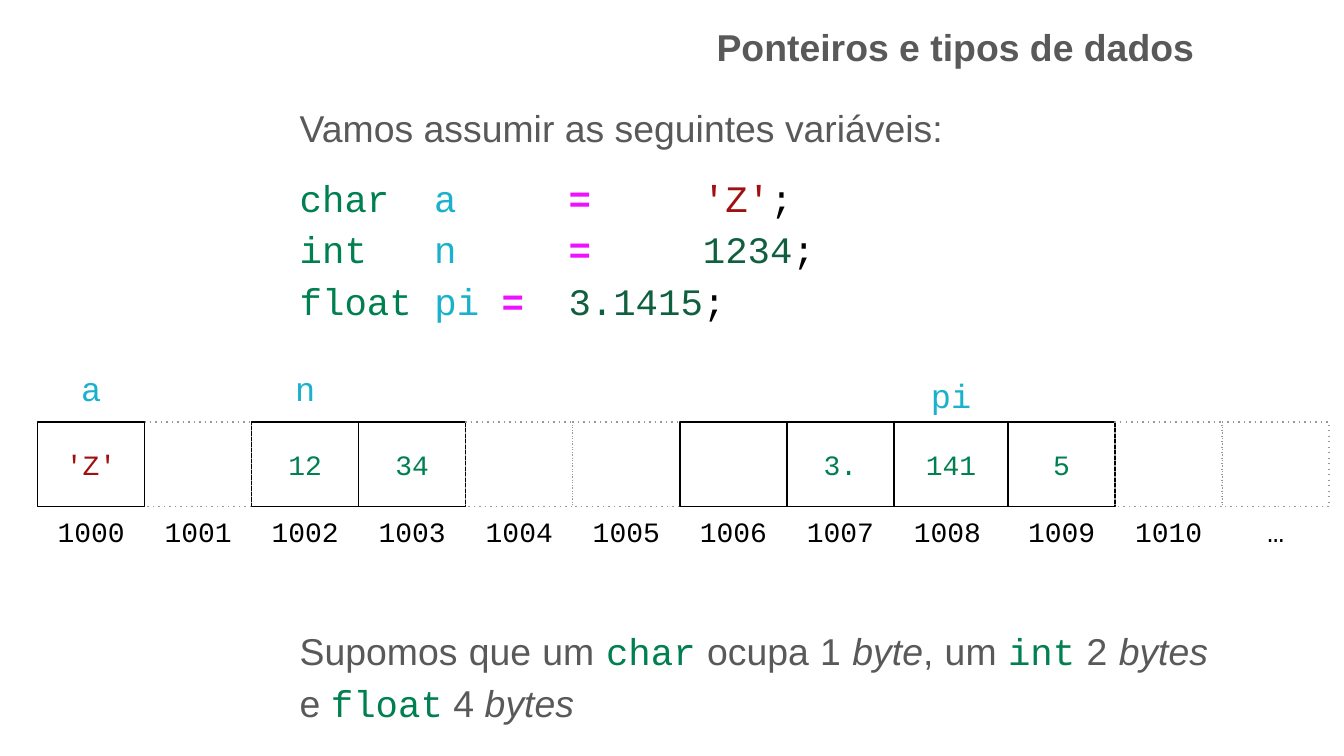
from collections import namedtuple

from lxml.etree import SubElement
from pptx import Presentation
from pptx.dml.color import RGBColor
from pptx.enum.dml import MSO_LINE_DASH_STYLE as Dash
from pptx.enum.shapes import MSO_SHAPE as Shape
from pptx.enum.text import MSO_ANCHOR as Anchor, MSO_AUTO_SIZE as AutoSize, PP_ALIGN as Align
from pptx.oxml.ns import qn
from pptx.util import Inches, Pt

Box = namedtuple("Box", "left top width height")
Style = namedtuple("Style", "font color bold italic", defaults=(False, False))

SLIDE_WIDTH = 10
SLIDE_HEIGHT = SLIDE_WIDTH * 9 / 16

SANS, MONO = "Arial", "Courier New"
TEXT = Style(SANS, "595959")
HEADING = Style(SANS, "595959", bold=True)
EMPHASIS = Style(SANS, "595959", italic=True)
TYPE = Style(MONO, "008050")
VARIABLE = Style(MONO, "1AB1CD")
OPERATOR = Style(MONO, "EE11FF", bold=True)
CHARACTER = Style(MONO, "A01010")
NUMBER = Style(MONO, "106040")
PLAIN = Style(MONO, "000000")

INTRO = [("Vamos assumir as seguintes variáveis:", TEXT)]
DECLARATIONS = [
    ("char \t", "a \t", "'Z'", CHARACTER),
    ("int \t", "n \t", "1234", NUMBER),
    ("float ", "pi ", "3.1415", NUMBER),
]
CLOSING = [
    ("Supomos que um ", TEXT), ("char", TYPE), (" ocupa 1 ", TEXT), ("byte", EMPHASIS),
    (", um ", TEXT), ("int", TYPE), (" 2 ", TEXT), ("bytes", EMPHASIS),
    (" e ", TEXT), ("float", TYPE), (" 4 ", TEXT), ("bytes", EMPHASIS),
]

ADDRESSES = [str(address) for address in range(1000, 1011)] + ["…"]
VALUES = {0: "'Z'", 2: "12", 3: "34", 6: "", 7: "3.", 8: "141", 9: "5"}
LABELS = {0: ("a", 0), 2: ("n", 0), 8: ("pi", 0.05)}
DRAWING_ORDER = (*range(3, 11), 2, 1, 0, 11)
WIDE_COLUMN, WIDE_WIDTH = 8, 0.85
LABEL_HEIGHT, CELL_HEIGHT, ADDRESS_HEIGHT = 0.5, 0.63, 0.37


def color(hex_string):
    return RGBColor.from_string(hex_string)


def inches(box):
    return [Inches(length) for length in box]


def place(shape, box):
    shape.left, shape.top, shape.width, shape.height = inches(box)


def prepare_frame(shape, anchor):
    frame = shape.text_frame
    frame.word_wrap = True
    frame.auto_size = AutoSize.NONE
    frame.vertical_anchor = anchor
    frame.margin_left = frame.margin_right = Inches(0.1)
    frame.margin_top = frame.margin_bottom = Inches(0.1)
    return frame


def add_runs(paragraph, runs, size):
    for text, style in runs:
        run = paragraph.add_run()
        run.text = text
        font = run.font
        font.name, font.size = style.font, Pt(size)
        font.bold, font.italic = style.bold, style.italic
        font.color.rgb = color(style.color)


def write_centered(shape, text, style, size, anchor):
    paragraph = prepare_frame(shape, anchor).paragraphs[0]
    paragraph.alignment = Align.CENTER
    add_runs(paragraph, [(text, style)], size)


def format_body_paragraph(paragraph, space_before):
    paragraph.alignment = Align.JUSTIFY
    paragraph.line_spacing = 1.15
    paragraph.space_before = Pt(space_before)
    paragraph.space_after = Pt(0)
    properties = paragraph._p.get_or_add_pPr()
    properties.set("marL", "0")
    properties.set("indent", "0")
    properties.set("defTabSz", str(Inches(1)))
    SubElement(properties, qn("a:buNone"))


def fill_title(shape, box):
    place(shape, box)
    write_centered(shape, "Ponteiros e tipos de dados", HEADING, 20, Anchor.TOP)


def fill_body(shape, box):
    place(shape, box)
    frame = prepare_frame(shape, Anchor.TOP)
    code = [
        [(kind, TYPE), (name, VARIABLE), ("= \t", OPERATOR), (value, style), (";", PLAIN)]
        for kind, name, value, style in DECLARATIONS
    ]
    lines = zip([INTRO, *code, CLOSING], (0, 10, 0, 0, 160))
    for index, (runs, space_before) in enumerate(lines):
        paragraph = frame.add_paragraph() if index else frame.paragraphs[0]
        format_body_paragraph(paragraph, space_before)
        add_runs(paragraph, runs, 20)


def add_label(slide, box, text, style, size, anchor):
    write_centered(slide.shapes.add_textbox(*inches(box)), text, style, size, anchor)


def add_cell(slide, box, value):
    cell = slide.shapes.add_shape(Shape.RECTANGLE, *inches(box))
    cell.shadow.inherit = False
    cell.fill.background()
    cell.line.width = Pt(0.75)
    cell.line.color.rgb = color("999999" if value is None else "000000")
    if value is None:
        cell.line.dash_style = Dash.ROUND_DOT
        next(cell._element.iter(qn("a:prstDash"))).set("val", "dot")
    elif value:
        style = CHARACTER if value.startswith("'") else TYPE
        write_centered(cell, value, style, 15, Anchor.MIDDLE)


def add_memory(slide, box):
    column_width = (box.width - WIDE_WIDTH) / (len(ADDRESSES) - 1)
    cell_top = box.top + LABEL_HEIGHT
    address_top = cell_top + CELL_HEIGHT

    def column_left(column):
        extra = WIDE_WIDTH - column_width if column > WIDE_COLUMN else 0
        return box.left + column * column_width + extra

    def cell_width(column):
        return WIDE_WIDTH if column == WIDE_COLUMN else column_width

    for column in DRAWING_ORDER:
        cell = Box(column_left(column), cell_top, cell_width(column), CELL_HEIGHT)
        add_cell(slide, cell, VALUES.get(column))
    for column, (name, drop) in LABELS.items():
        label = Box(column_left(column), box.top + drop, cell_width(column), LABEL_HEIGHT)
        add_label(slide, label, name, VARIABLE, 18, Anchor.TOP)
    for column, address in enumerate(ADDRESSES):
        label = Box(column_left(column), address_top, column_width, ADDRESS_HEIGHT)
        add_label(slide, label, address, PLAIN, 15, Anchor.MIDDLE)


def main():
    presentation = Presentation()
    presentation.slide_width = Inches(SLIDE_WIDTH)
    presentation.slide_height = Inches(SLIDE_HEIGHT)
    slide = presentation.slides.add_slide(presentation.slide_layouts[1])
    fill_body(slide.placeholders[1], Box(2.13, 0.63, 6.96, 4.7))
    fill_title(slide.shapes.title, Box(4.37, 0.08, 5.48, 0.54))
    memory_height = LABEL_HEIGHT + CELL_HEIGHT + ADDRESS_HEIGHT
    add_memory(slide, Box(0.28, 2.64, 9.61, memory_height))
    presentation.save("out.pptx")


if __name__ == "__main__":
    main()
